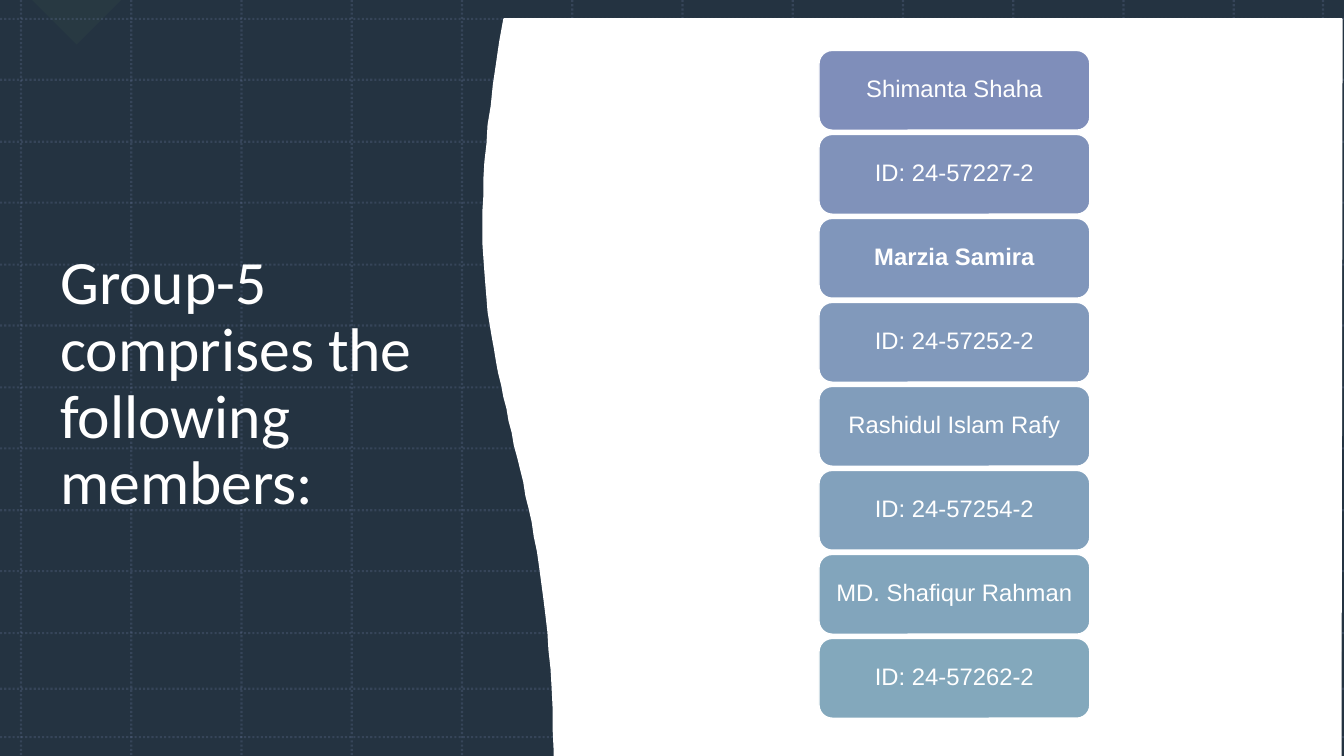
from lxml import etree
from pptx import Presentation
from pptx.dml.color import RGBColor
from pptx.enum.dml import MSO_LINE
from pptx.enum.shapes import MSO_CONNECTOR, MSO_SHAPE
from pptx.enum.text import MSO_ANCHOR, PP_ALIGN
from pptx.oxml.ns import qn
from pptx.util import Emu, Pt

RECT = MSO_SHAPE.RECTANGLE
ROUNDED = MSO_SHAPE.ROUNDED_RECTANGLE
TRIANGLE = MSO_SHAPE.RIGHT_TRIANGLE
STRAIGHT = MSO_CONNECTOR.STRAIGHT
DOTTED = MSO_LINE.ROUND_DOT
MIDDLE = MSO_ANCHOR.MIDDLE
LEFT, CENTER = PP_ALIGN.LEFT, PP_ALIGN.CENTER

WIDTH, HEIGHT = 1280, 720
NAVY, WHITE, PERIWINKLE, GREEN = "243341", "FFFFFF", "7F8EBA", "3D5B4C"

# Text, card colour, bold
MEMBERS = [
    ("Shimanta Shaha", "7F8EBA", False),
    ("ID: 24-57227-2", "8092BA", False),
    ("Marzia Samira", "8096BB", True),
    ("ID: 24-57252-2", "8199BB", False),
    ("Rashidul Islam Rafy", "819DBB", False),
    ("ID: 24-57254-2", "82A1BC", False),
    ("MD. Shafiqur Rahman", "82A5BC", False),
    ("ID: 24-57262-2", "83A8BC", False),
]


def px(value):
    return Emu(value * 9525)


def rgb(color):
    return RGBColor.from_string(color)


def paint(fill, color, opacity=100):
    fill.solid()
    fill.fore_color.rgb = rgb(color)
    if opacity < 100:
        solid = fill._xPr.find(qn("a:solidFill"))
        etree.SubElement(solid[0], qn("a:alpha"), val=str(opacity * 1000))


def bezier(start, control1, control2, end, steps=48):
    for i in range(steps + 1):
        t = i / steps
        u = 1 - t
        yield tuple(
            round(u**3 * a + 3 * u * u * t * b + 3 * u * t * t * c + t**3 * d, 2)
            for a, b, c, d in zip(start, control1, control2, end)
        )


class Slide:
    def __init__(self, slide):
        self.shapes = slide.shapes

    def style(self, shape, color, opacity=100, outline=None):
        shape.shadow.inherit = False
        paint(shape.fill, color, opacity)
        if outline:
            paint(shape.line.fill, outline)
            shape.line.width = Pt(1)
        else:
            shape.line.fill.background()
        return shape

    def shape(self, kind, left, top, width, height, color, **look):
        shape = self.shapes.add_shape(kind, px(left), px(top), px(width), px(height))
        return self.style(shape, color, **look)

    def outline(self, points, color, **look):
        builder = self.shapes.build_freeform(*points[0], scale=9525)
        builder.add_line_segments(points[1:], close=True)
        return self.style(builder.convert_to_shape(), color, **look)

    def grid_line(self, x1, y1, x2, y2):
        line = self.shapes.add_connector(STRAIGHT, px(x1), px(y1), px(x2), px(y2))
        etree.SubElement(line._element.spPr, qn("a:effectLst"))
        line.line.width = Pt(1.5)
        paint(line.line.fill, PERIWINKLE, 20)
        line.line.dash_style = DOTTED

    def set_text(self, shape, text, font, size, align, bold=False):
        frame = shape.text_frame
        frame.word_wrap = True
        frame.vertical_anchor = MIDDLE
        paragraph = frame.paragraphs[0]
        paragraph.alignment = align
        paragraph.line_spacing = 0.9
        run = paragraph.add_run()
        run.text = text
        run.font.name = font
        run.font.size = Pt(size)
        run.font.bold = bold
        run.font.color.rgb = rgb(WHITE)

    def heading(self, left, top, width, height, text):
        box = self.shapes.add_textbox(px(left), px(top), px(width), px(height))
        self.set_text(box, text, "Calibri", 44, LEFT)

    def card(self, left, top, width, height, text, color, bold):
        card = self.shape(ROUNDED, left, top, width, height, color, outline=WHITE)
        frame = card.text_frame
        frame.margin_left = frame.margin_right = px(7)
        frame.margin_top = frame.margin_bottom = px(4)
        self.set_text(card, text, "Arial", 17, CENTER, bold)


def main():
    deck = Presentation()
    deck.slide_width, deck.slide_height = px(WIDTH), px(HEIGHT)
    slide = Slide(deck.slides.add_slide(deck.slide_layouts[6]))

    # Dark backdrop with a corner triangle
    slide.shape(RECT, 0, 0, WIDTH, HEIGHT, NAVY)
    corner = slide.shape(TRIANGLE, 43, -30, 60, 60, GREEN, opacity=17)
    corner.rotation = 315

    # Dotted grid
    for x in [*range(20, 1200, 105), 1260]:
        slide.grid_line(x, 0, x, HEIGHT)
    for y in [*(18 + i * 117 // 2 for i in range(11)), 656, 702]:
        slide.grid_line(0, y, WIDTH, y)

    # Heading
    slide.heading(48, 76, 392, 581, "Group-5 comprises the following members:")

    # White panel with a wavy left edge
    wave = bezier((528, 738), (528, 379), (416, 377), (480, 18))
    slide.outline([(1278, 18), (1277, 738), *wave], WHITE, outline=WHITE)

    # Member cards
    for i, member in enumerate(MEMBERS):
        slide.card(780, 48 + 80 * i, 258, 76, *member)

    deck.save("out.pptx")


if __name__ == "__main__":
    main()
